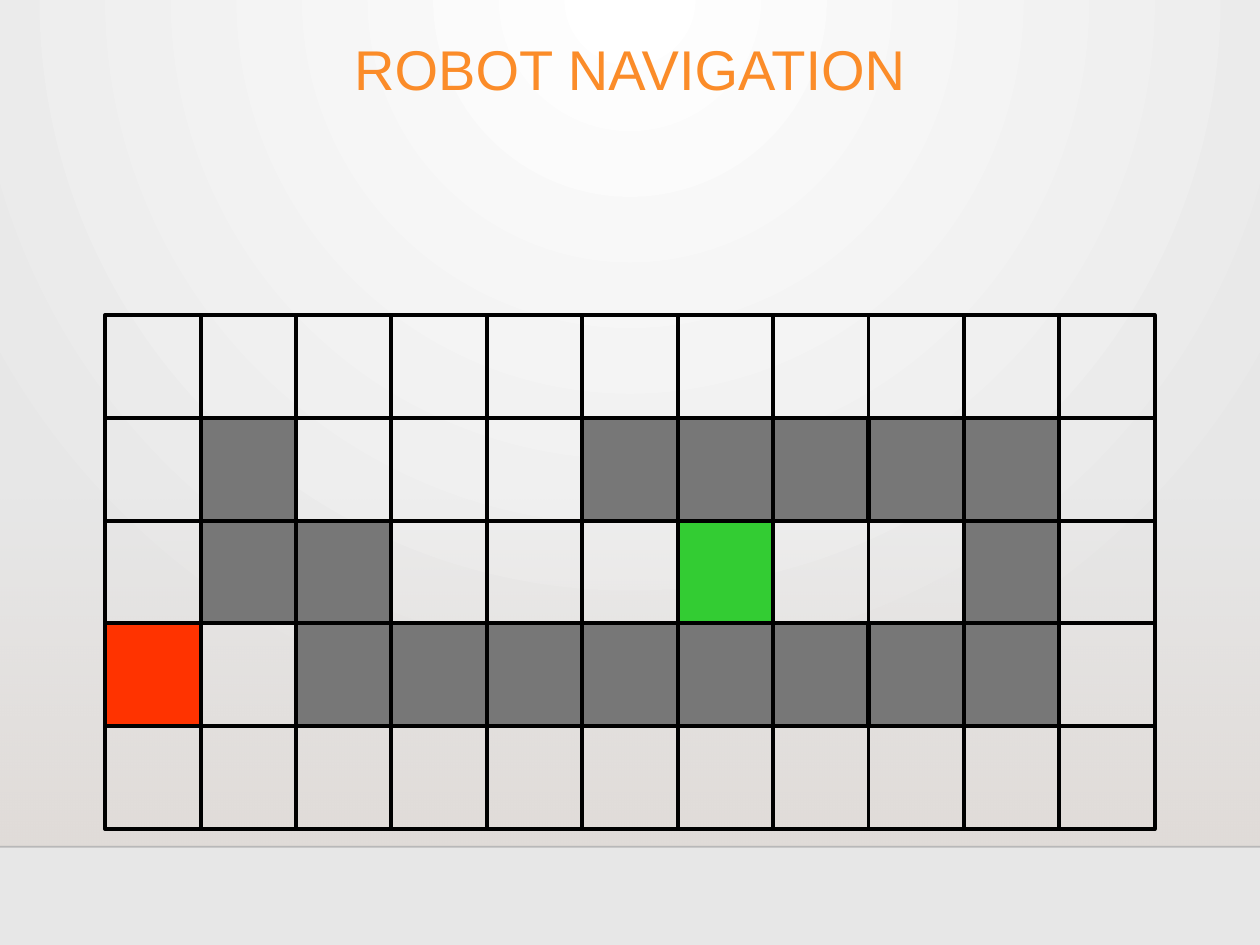
from lxml import etree
from pptx import Presentation
from pptx.dml.color import RGBColor
from pptx.enum.shapes import MSO_CONNECTOR, MSO_SHAPE
from pptx.enum.text import MSO_ANCHOR, PP_ALIGN
from pptx.oxml.ns import qn
from pptx.util import Inches, Pt

RECTANGLE = MSO_SHAPE.RECTANGLE
STRAIGHT = MSO_CONNECTOR.STRAIGHT
MIDDLE, CENTER = MSO_ANCHOR.MIDDLE, PP_ALIGN.CENTER

# Content: # wall, S start, G goal, . free cell
TITLE = "ROBOT NAVIGATION"
MAZE = [
    "...........",
    ".#...#####.",
    ".##...G..#.",
    "S.########.",
    "...........",
]

THEME = {
    "cells": {"#": "777777", "S": "FF3300", "G": "33CC33"},
    "grid": "000000",
    "grid_width": 2.25,
    "background": ["FFFFFF", "E7E7E7"],
    "floor": "DFD9D5",
    "floor_edge": "000001",
    "floor_edge_width": 1,
    "title": {"name": "Arial", "size": Pt(32), "color": "FB8C29"},
}

# Layout, in inches
SLIDE_W, SLIDE_H = 10, 7.5
FLOOR_TOP, FLOOR_H, FLOOR_EDGE = 3.96, 2.75, 6.72
TITLE_BOX = (1.58, 0, 6.84, 1.15)
GRID_W, GRID_TOP, GRID_H = 8.33, 2.5, 4.08
GRID_LEFT = (SLIDE_W - GRID_W) / 2
ROWS, COLUMNS = len(MAZE), len(MAZE[0])
CELL_W, CELL_H = GRID_W / COLUMNS, GRID_H / ROWS


def rgb(color):
    return RGBColor.from_string(color)


def set_alpha(element, percents):
    for color, percent in zip(element.iter(qn("a:srgbClr")), percents):
        etree.SubElement(color, qn("a:alpha"), val=str(percent * 1000))


def set_gradient(fill, colors):
    fill.gradient()
    for stop, color in zip(fill.gradient_stops, colors):
        stop.color.rgb = rgb(color)


def set_line(line, color, width):
    line.color.rgb = rgb(color)
    line.width = Pt(width)


def add_rectangle(shapes, left, top, width, height, color=None):
    box = shapes.add_shape(RECTANGLE, *map(Inches, (left, top, width, height)))
    box.shadow.inherit = False
    if color:
        box.fill.solid()
        box.fill.fore_color.rgb = rgb(color)
    else:
        box.fill.background()
    return box


def add_line(shapes, x1, y1, x2, y2, color, width):
    rule = shapes.add_connector(STRAIGHT, *map(Inches, (x1, y1, x2, y2)))
    set_line(rule.line, color, width)
    etree.SubElement(rule._element.spPr, qn("a:effectLst"))
    return rule


def add_background(slide):
    set_gradient(slide.background.fill, THEME["background"])
    gradient = slide._element.find(".//" + qn("a:gradFill"))
    gradient.remove(gradient.find(qn("a:lin")))
    radial = etree.SubElement(gradient, qn("a:path"), {"path": "circle"})
    etree.SubElement(radial, qn("a:fillToRect"), l="43000", t="0", r="43000", b="100000")


def add_floor(slide):
    floor = add_rectangle(slide.shapes, 0, FLOOR_TOP, SLIDE_W, FLOOR_H)
    set_gradient(floor.fill, [THEME["floor"]] * 2)
    floor.fill.gradient_angle = 270
    set_alpha(floor._element, [0, 80])
    floor.line.fill.background()
    edge = add_line(slide.shapes, 0, FLOOR_EDGE, SLIDE_W, FLOOR_EDGE,
                    THEME["floor_edge"], THEME["floor_edge_width"])
    set_alpha(edge._element, [20])


def add_title(slide):
    frame = slide.shapes.add_textbox(*map(Inches, TITLE_BOX)).text_frame
    frame.word_wrap = True
    frame.vertical_anchor = MIDDLE
    heading = frame.paragraphs[0]
    heading.alignment = CENTER
    heading.line_spacing = 0.9
    run = heading.add_run()
    run.text = TITLE
    for attribute, value in THEME["title"].items():
        if attribute == "color":
            run.font.color.rgb = rgb(value)
        else:
            setattr(run.font, attribute, value)


def add_maze(slide):
    maze = slide.shapes.add_group_shape().shapes
    pen = (THEME["grid"], THEME["grid_width"])
    right, bottom = GRID_LEFT + GRID_W, GRID_TOP + GRID_H

    # Frame and inner grid lines
    frame = add_rectangle(maze, GRID_LEFT, GRID_TOP, GRID_W, GRID_H)
    set_line(frame.line, *pen)
    for column in range(1, COLUMNS):
        x = GRID_LEFT + column * CELL_W
        add_line(maze, x, GRID_TOP, x, bottom, *pen)
    for row in range(1, ROWS):
        y = GRID_TOP + row * CELL_H
        add_line(maze, GRID_LEFT, y, right, y, *pen)

    # Walls, start and goal
    for row, marks in enumerate(MAZE):
        for column, mark in enumerate(marks):
            if mark in THEME["cells"]:
                cell = add_rectangle(maze, GRID_LEFT + column * CELL_W,
                                     GRID_TOP + row * CELL_H, CELL_W, CELL_H,
                                     THEME["cells"][mark])
                set_line(cell.line, *pen)


def main():
    deck = Presentation()
    deck.slide_width, deck.slide_height = Inches(SLIDE_W), Inches(SLIDE_H)
    slide = deck.slides.add_slide(deck.slide_layouts[6])
    add_background(slide)
    add_floor(slide)
    add_title(slide)
    add_maze(slide)
    deck.save("out.pptx")


if __name__ == "__main__":
    main()
